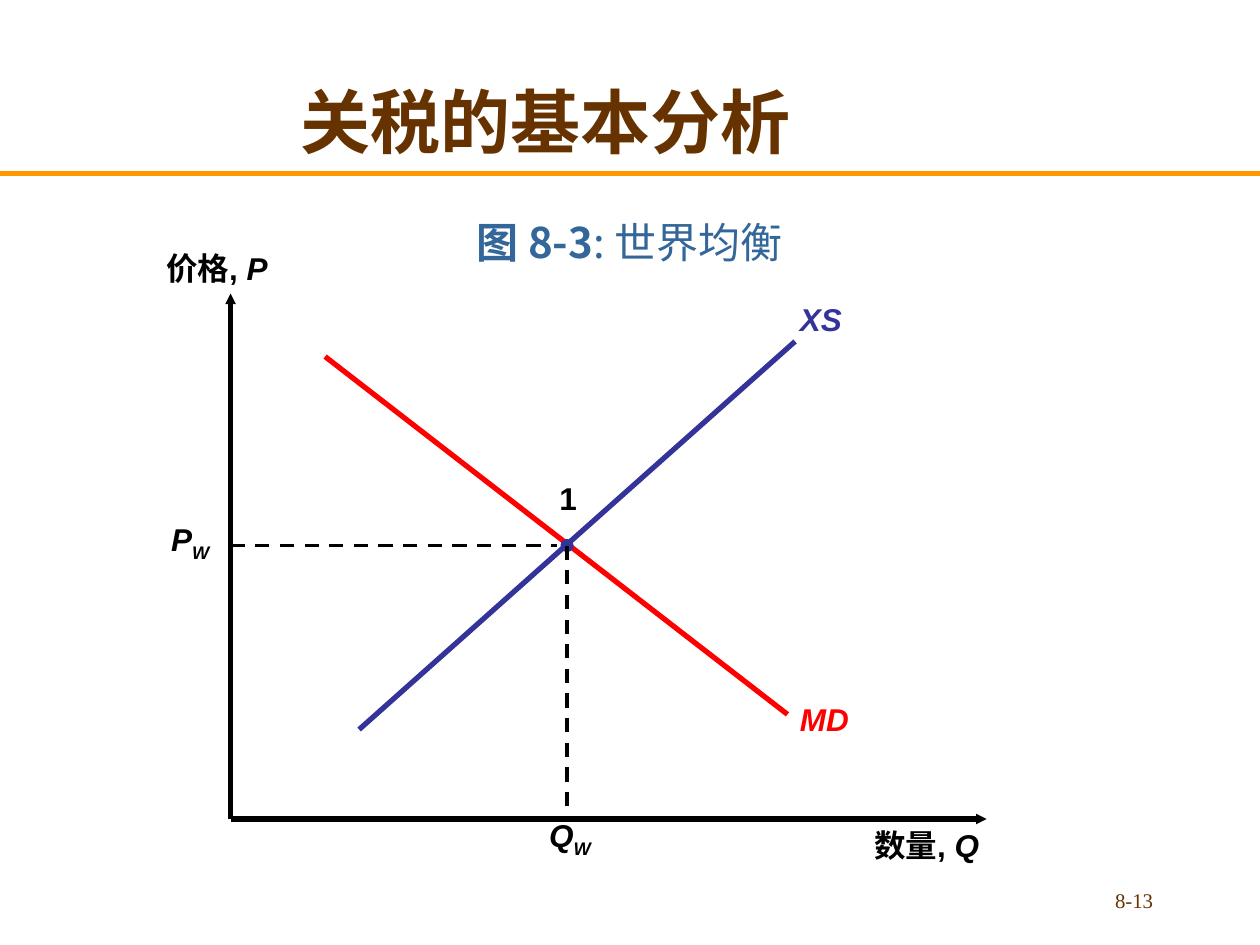
from dataclasses import dataclass

from lxml.etree import SubElement as Sub
from pptx import Presentation
from pptx.dml.color import RGBColor as RGB
from pptx.enum.dml import MSO_LINE as Dash
from pptx.enum.shapes import MSO_CONNECTOR as Link, MSO_SHAPE as Shape
from pptx.enum.text import MSO_ANCHOR as Anchor, MSO_AUTO_SIZE as Fit, PP_ALIGN as Align
from pptx.oxml.ns import qn
from pptx.util import Inches, Pt


@dataclass(frozen=True)
class Theme:
    brown: str = "663300"
    steel: str = "336699"
    orange: str = "FF9900"
    navy: str = "333399"
    red: str = "FF0000"
    black: str = "000000"
    sans: str = "Arial"
    serif: str = "Times New Roman"
    han: str = "Noto Sans CJK SC"
    head: float = 40
    sub: float = 24
    label: float = 18
    foot: float = 11.9
    thick: float = 3
    thin: float = 2


class Board:
    def __init__(self, slide, theme):
        self.slide = slide
        self.theme = theme

    def run(self, para, text, size, color, face, bold=True, ital=False, base=0):
        run = para.add_run()
        run.text = text
        font = run.font
        font.size, font.name = Pt(size), face
        font.bold, font.italic = bold, ital
        font.color.rgb = RGB.from_string(color)
        props = run._r.get_or_add_rPr()
        Sub(props, qn("a:ea")).set("typeface", self.theme.han)
        if base:
            props.set("baseline", str(base * 1000))

    def title(self, text, x, y, w, h):
        box = self.slide.shapes.title
        box.left, box.top, box.width, box.height = map(Inches, (x, y, w, h))
        frame = box.text_frame
        frame.auto_size, frame.vertical_anchor = Fit.NONE, Anchor.MIDDLE
        para = frame.paragraphs[0]
        para.alignment = Align.CENTER
        self.run(para, text, self.theme.head, self.theme.brown, self.theme.han)

    def text(self, x, y, w, h, align=Align.LEFT, anchor=Anchor.TOP, wrap=True):
        box = self.slide.shapes.add_textbox(*map(Inches, (x, y, w, h)))
        frame = box.text_frame
        frame.word_wrap, frame.vertical_anchor = wrap, anchor
        frame.auto_size = Fit.NONE if wrap else Fit.SHAPE_TO_FIT_TEXT
        para = frame.paragraphs[0]
        para.alignment = align
        return para

    def label(self, x, y, w, h, color, *parts):
        """Each part is (text, italic, baseline percent)."""
        para = self.text(x, y, w, h, wrap=False)
        for text, ital, base in parts:
            self.run(para, text, self.theme.label, color, self.theme.sans,
                     ital=ital, base=base)

    def line(self, start, end, color, width, dash=False, arrow=False):
        link = self.slide.shapes.add_connector(
            Link.STRAIGHT, *map(Inches, (*start, *end)))
        link.line.color.rgb = RGB.from_string(color)
        link.line.width = Pt(width)
        if dash:
            link.line.dash_style = Dash.DASH
        if arrow:
            tip = Sub(link.line._get_or_add_ln(), qn("a:tailEnd"))
            for key, value in (("type", "triangle"), ("w", "sm"), ("len", "sm")):
                tip.set(key, value)
        Sub(link._element.spPr, qn("a:effectLst"))

    def dot(self, x, y, size, color):
        dot = self.slide.shapes.add_shape(
            Shape.OVAL, *map(Inches, (x - size / 2, y - size / 2, size, size)))
        dot.shadow.inherit = False
        dot.fill.solid()
        dot.fill.fore_color.rgb = dot.line.color.rgb = RGB.from_string(color)
        dot.line.width = Pt(1)


def main():
    deck = Presentation()
    deck.slide_width, deck.slide_height = Inches(10), Inches(7.5)
    look = Theme()
    board = Board(deck.slides.add_slide(deck.slide_layouts[5]), look)

    # Heading, rule and page number
    board.line((0, 1.38), (10, 1.38), look.orange, look.thick)
    board.title("关税的基本分析", 0.08, 0.33, 8.5, 1.25)
    page = board.text(7.17, 7, 2.08, 0.33, Align.RIGHT)
    board.run(page, "8-13", look.foot, look.brown, look.serif, bold=False)

    # Figure caption
    note = board.text(-0.17, 0.92, 10.33, 1.25, Align.CENTER, Anchor.BOTTOM)
    for text, bold in (("图 8-3", True), (": 世界均衡", False)):
        board.run(note, text, look.sub, look.steel, look.han, bold=bold)

    # Supply curve
    board.line((6.31, 2.71), (2.85, 5.79), look.navy, look.thick)
    board.label(6.25, 2.33, 0.57, 0.4, look.navy, ("XS", True, 0))

    # Axes
    left, base = 1.83, 6.5
    for tip in ((left, 2.33), (7.83, base)):
        board.line((left, base), tip, look.black, look.thick, arrow=True)
    board.label(1.22, 1.93, 1.1, 0.4, look.black, ("价格, ", False, 0), ("P", True, 0))
    board.label(6.84, 6.51, 1.13, 0.4, look.black, ("数量, ", False, 0), ("Q", True, 0))

    # Demand curve
    board.line((2.58, 2.83), (6.25, 5.67), look.red, look.thick)
    board.label(6.25, 5.51, 0.63, 0.4, look.red, ("MD", True, 0))

    # World equilibrium
    quant, price = 4.5, 4.33
    board.dot(quant, price, 0.09, look.navy)
    for start, end in (((left, price), (4.42, price)), ((quant, price), (quant, base))):
        board.line(start, end, look.black, look.thin, dash=True)
    for name, x, y, w in (("P", 1.26, 4.08, 0.54), ("Q", 4.26, 6.43, 0.57)):
        board.label(x, y, w, 0.44, look.black, (name, True, 0), ("W", True, -25))
    board.label(4.34, 3.75, 0.38, 0.4, look.black, ("1", False, 0))

    deck.save("out.pptx")


if __name__ == "__main__":
    main()
